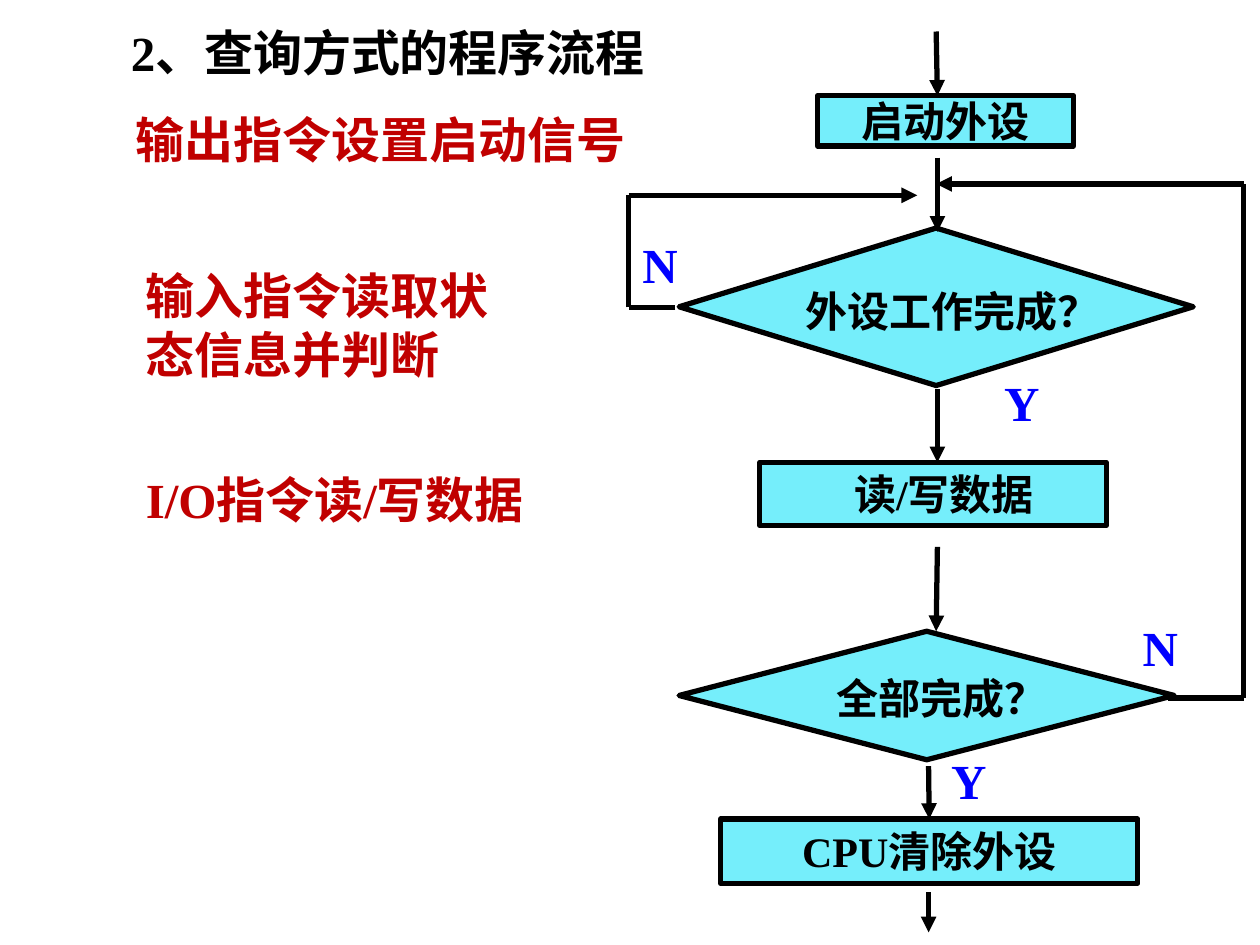
from lxml.etree import SubElement
from pptx import Presentation
from pptx.dml.color import RGBColor
from pptx.enum.shapes import MSO_CONNECTOR, MSO_SHAPE
from pptx.enum.text import MSO_ANCHOR, MSO_AUTO_SIZE, PP_ALIGN
from pptx.oxml.ns import qn
from pptx.util import Inches, Pt

FONT = "Times New Roman"
BLACK, RED, BLUE, CYAN = "000000", "C00000", "0000FF", "75EEFB"
LINE_WIDTH = Pt(3)


def rgb(value):
    return RGBColor.from_string(value)


def write(sp, text, size, color, align=PP_ALIGN.LEFT):
    tf = sp.text_frame
    tf.word_wrap = True
    tf.auto_size = MSO_AUTO_SIZE.SHAPE_TO_FIT_TEXT
    tf.vertical_anchor = MSO_ANCHOR.TOP
    p = tf.paragraphs[0]
    p.alignment = align
    r = p.add_run()
    r.text = text
    r.font.name = FONT
    r.font.size = Pt(size)
    r.font.bold = True
    r.font.color.rgb = rgb(color)


def add_text(s, text, box, color, size=28, align=PP_ALIGN.LEFT):
    sp = s.shapes.add_textbox(*map(Inches, box))
    write(sp, text, size, color, align)


def add_node(s, kind, box):
    sp = s.shapes.add_shape(kind, *map(Inches, box))
    sp.shadow.inherit = False
    sp.fill.solid()
    sp.fill.fore_color.rgb = rgb(CYAN)
    sp.line.color.rgb = rgb(BLACK)
    sp.line.width = LINE_WIDTH
    return sp


def add_step(s, text, box):
    sp = add_node(s, MSO_SHAPE.RECTANGLE, box)
    write(sp, text, 24, BLACK, PP_ALIGN.CENTER)
    return sp


def add_decision(s, text, box, text_box):
    add_node(s, MSO_SHAPE.FLOWCHART_DECISION, box)
    add_text(s, text, text_box, BLACK, 24, PP_ALIGN.CENTER)


def add_line(s, start, end, arrow=False):
    cn = s.shapes.add_connector(MSO_CONNECTOR.STRAIGHT, *map(Inches, start + end))
    cn.line.color.rgb = rgb(BLACK)
    cn.line.width = LINE_WIDTH
    if arrow:
        SubElement(cn.line._get_or_add_ln(), qn("a:tailEnd"), type="triangle")
    SubElement(cn._element.spPr, qn("a:effectLst"))
    return cn


def add_route(s, points):
    """Draw a bent path whose last segment carries the arrowhead."""
    segments = list(zip(points, points[1:]))
    for start, end in segments:
        add_line(s, start, end, arrow=(start, end) == segments[-1])


def add_flowchart(s):
    start = add_step(s, "启动外设", (6.49, 0.76, 2.03, 0.4))
    tf = start.text_frame
    tf.margin_left = tf.margin_right = tf.margin_top = tf.margin_bottom = 0

    add_decision(s, "外设工作完成？", (5.39, 1.81, 4.08, 1.25), (5.81, 2.22, 3.5, 0.51))
    transfer = add_step(s, "读/写数据", (6.03, 3.67, 2.75, 0.5))
    transfer.text_frame.margin_left = Inches(0.27)
    add_decision(s, "全部完成？", (5.39, 5.01, 3.93, 1.02), (5.79, 5.29, 3.37, 0.5))
    clear = add_step(s, "CPU清除外设", (5.72, 6.5, 3.31, 0.51))

    for begin, end in [
        ((7.43, 0.25), (7.44, 0.76)),
        ((7.44, 1.25), (7.44, 1.84)),
        ((7.44, 3.09), (7.44, 3.67)),
        ((7.44, 4.34), (7.43, 5.01)),
        ((7.37, 7.08), (7.37, 7.4)),
    ]:
        add_line(s, begin, end, arrow=True)
    to_clear = add_line(s, (7.37, 6.08), (7.37, 6.5), arrow=True)
    to_clear.end_connect(clear, 0)

    add_route(s, [(5.36, 2.44), (4.99, 2.44), (4.99, 1.55), (7.28, 1.55)])
    add_route(s, [(9.27, 5.54), (9.87, 5.54), (9.87, 1.46), (7.43, 1.46)])

    for answer, left, top in [
        ("N", 5, 1.81),
        ("Y", 7.87, 2.91),
        ("N", 8.97, 4.85),
        ("Y", 7.45, 5.91),
    ]:
        add_text(s, answer, (left, top, 0.75, 0.57), BLUE)


def main():
    prs = Presentation()
    prs.slide_width, prs.slide_height = Inches(10), Inches(7.5)
    s = prs.slides.add_slide(prs.slide_layouts[6])

    add_text(s, "2、查询方式的程序流程", (0.94, 0.13, 6.58, 0.57), BLACK)
    add_text(s, "输出指令设置启动信号", (0.98, 0.82, 4.76, 0.57), RED)
    add_text(s, "输入指令读取状态信息并判断", (1.06, 2.06, 3.06, 1.03), RED)
    add_text(s, "I/O指令读/写数据", (1.06, 3.68, 3.8, 0.57), RED)
    add_flowchart(s)

    prs.save("out.pptx")


if __name__ == "__main__":
    main()
